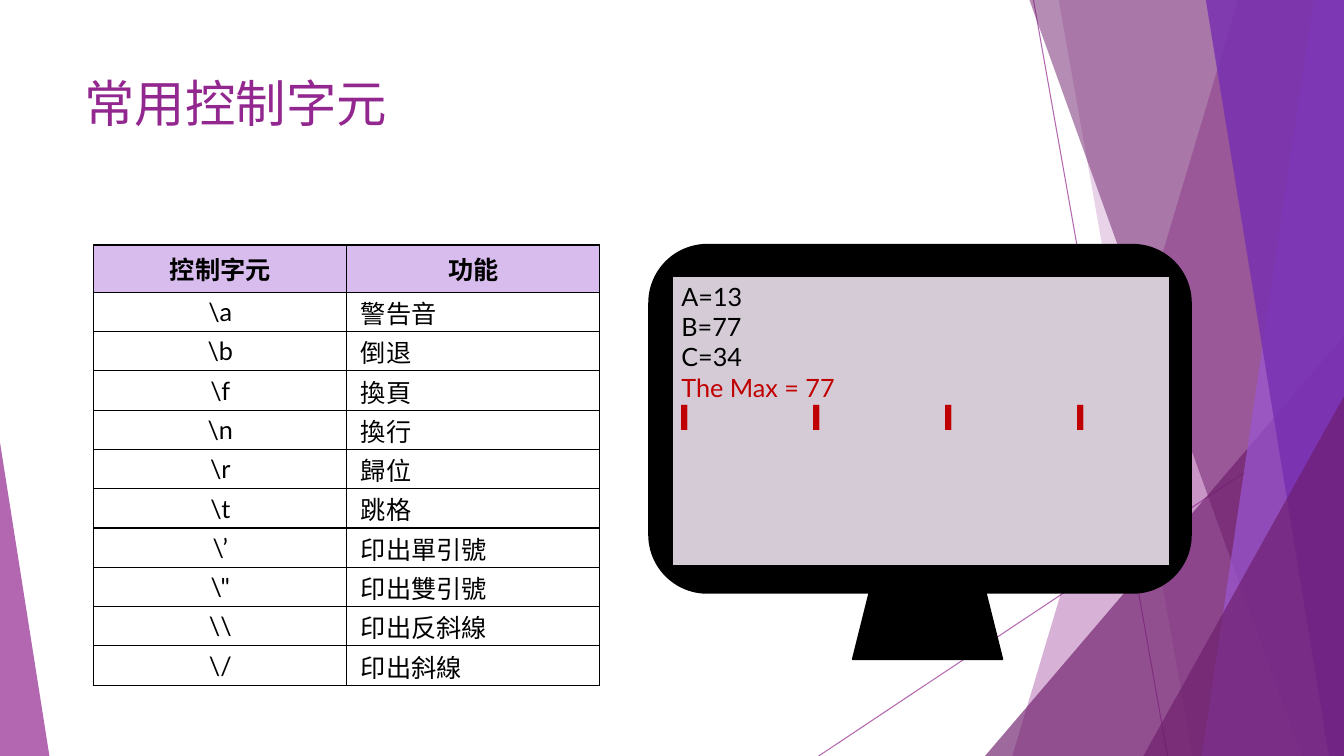
from dataclasses import dataclass

from lxml import etree
from pptx import Presentation
from pptx.dml.color import RGBColor
from pptx.enum.shapes import MSO_CONNECTOR, MSO_SHAPE
from pptx.enum.text import MSO_ANCHOR, PP_ALIGN
from pptx.oxml.ns import qn
from pptx.util import Inches, Pt

LINE = MSO_CONNECTOR.STRAIGHT
WEDGE = MSO_SHAPE.ISOSCELES_TRIANGLE
FRAME = MSO_SHAPE.ROUNDED_RECTANGLE
PANEL = MSO_SHAPE.RECTANGLE
STAND = MSO_SHAPE.TRAPEZOID
MID, TOP = MSO_ANCHOR.MIDDLE, MSO_ANCHOR.TOP
LEFT, CENTER = PP_ALIGN.LEFT, PP_ALIGN.CENTER


@dataclass
class Theme:
    main: str = "92278F"
    deep: str = "6D1D6B"
    lilac: str = "9B57D3"
    violet: str = "762EB1"
    head: str = "D7BCED"
    screen: str = "D5CBD7"
    red: str = "C00000"
    black: str = "000000"
    white: str = "FFFFFF"
    latin: str = "Lato"
    asian: str = "Noto Sans CJK TC"
    title: int = 36
    body: int = 18


theme = Theme()


def paint(fill, color, alpha=100):
    fill.solid()
    fill.fore_color.rgb = RGBColor.from_string(color)
    if alpha < 100:
        tone = fill._xPr.find(qn("a:solidFill"))[0]
        etree.SubElement(tone, qn("a:alpha"), val=str(alpha * 1000))


def write(para, text, color=theme.black, size=theme.body, bold=False, face=theme.latin):
    run = para.add_run()
    run.text = text
    font = run.font
    font.name, font.size, font.bold = face, Pt(size), bold
    font.color.rgb = RGBColor.from_string(color)
    etree.SubElement(run._r.get_or_add_rPr(), qn("a:ea"), typeface=theme.asian)


prs = Presentation()
prs.slide_width, prs.slide_height = Inches(13.33), Inches(7.5)
slide = prs.slides.add_slide(prs.slide_layouts[6])
shapes = slide.shapes

for x1, y1, x2, y2 in [(10.25, 0, 11.58, 7.5), (13.33, 4.03, 8.12, 7.5)]:
    ray = shapes.add_connector(LINE, Inches(x1), Inches(y1), Inches(x2), Inches(y2))
    ray.line.width = Pt(0.75)
    paint(ray.line.fill, theme.main, 70)
    etree.SubElement(ray._element.spPr, qn("a:effectLst"))

facets = [
    ("band", (12.28, 10.04), theme.main, 36),
    ("band", (10.5, 11.83), theme.main, 20),
    ("wedge", (9.77, 3.33, 3.56, 4.17, 1), theme.deep, 66),
    ("band", (10.21, 12.91), theme.deep, 50),
    ("band", (13.03, 11.92), theme.lilac, 70),
    ("band", (11.96, 13.18), theme.violet, 80),
    ("wedge", (11.34, 3.93, 1.99, 3.57, 1), theme.deep, 66),
    ("wedge", (0, 4.39, 0.49, 3.11, 0), theme.main, 70),
]
for kind, spot, color, alpha in facets:
    if kind == "band":
        top, base = spot
        path = shapes.build_freeform(Inches(top), 0)
        ends = [(13.33, 0), (13.33, 7.5), (base, 7.5)]
        path.add_line_segments([(Inches(x), Inches(y)) for x, y in ends])
        facet = path.convert_to_shape()
    else:
        facet = shapes.add_shape(WEDGE, *map(Inches, spot[:4]))
        facet.adjustments[0] = spot[4]
    facet.shadow.inherit = False
    facet.line.fill.background()
    paint(facet.fill, color, alpha)

title = shapes.add_textbox(Inches(0.74), Inches(0.67), Inches(9.4), Inches(1.44))
title.text_frame.word_wrap = True
write(title.text_frame.paragraphs[0], "常用控制字元", theme.main, theme.title)

rows = [
    ("控制字元", "功能"),
    ("\\a", "警告音"),
    ("\\b", "倒退"),
    ("\\f", "換頁"),
    ("\\n", "換行"),
    ("\\r", "歸位"),
    ("\\t", "跳格"),
    ("\\’", "印出單引號"),
    ("\\\"", "印出雙引號"),
    ("\\\\", "印出反斜線"),
    ("\\/", "印出斜線"),
]
table = shapes.add_table(len(rows), 2, Inches(0.93), Inches(2.43), Inches(5.02), Inches(4.37)).table
for col in table.columns:
    col.width = Inches(2.51)
for i, row in enumerate(rows):
    table.rows[i].height = Inches(0.39 if i else 0.47)
    for j, text in enumerate(row):
        cell = table.cell(i, j)
        note = i > 0 and j == 1
        cell.vertical_anchor = MID
        cell.margin_top = cell.margin_bottom = cell.margin_right = Inches(0.02)
        cell.margin_left = Inches(0.14 if note else 0.02)
        para = cell.text_frame.paragraphs[0]
        para.alignment = LEFT if note else CENTER
        write(para, text, bold=i == 0)
        props = cell._tc.get_or_add_tcPr()
        for side in ("a:lnL", "a:lnR", "a:lnT", "a:lnB"):
            edge = etree.SubElement(props, qn(side), w=str(Pt(1)))
            tone = etree.SubElement(edge, qn("a:solidFill"))
            etree.SubElement(tone, qn("a:srgbClr"), val=theme.black)
        paint(cell.fill, theme.white if i else theme.head)

parts = [
    (FRAME, (6.44, 2.43, 5.37, 3.45), theme.black),
    (PANEL, (6.66, 2.74, 4.95, 2.88), theme.screen),
    (STAND, (8.46, 5.88, 1.48, 0.66), theme.black),
]
for kind, spot, color in parts:
    part = shapes.add_shape(kind, *map(Inches, spot))
    part.shadow.inherit = False
    paint(part.fill, color)
    paint(part.line.fill, theme.black)
    part.line.width = Pt(1.5)
    if kind == PANEL:
        frame = part.text_frame

frame.word_wrap = True
frame.vertical_anchor = TOP
lines = [
    ("A=13", theme.black, theme.latin),
    ("B=77", theme.black, theme.latin),
    ("C=34", theme.black, theme.latin),
    ("The Max = 77", theme.red, theme.latin),
    ("▎\t▎\t▎\t▎", theme.red, theme.asian),
]
for i, (text, color, face) in enumerate(lines):
    para = frame.add_paragraph() if i else frame.paragraphs[0]
    para.alignment = LEFT
    if "\t" in text:
        tabs = etree.SubElement(para._p.get_or_add_pPr(), qn("a:tabLst"))
        for n in range(1, 4):
            etree.SubElement(tabs, qn("a:tab"), pos=str(Inches(1.31 * n)), algn="l")
    write(para, text, color, face=face)

prs.save("out.pptx")
